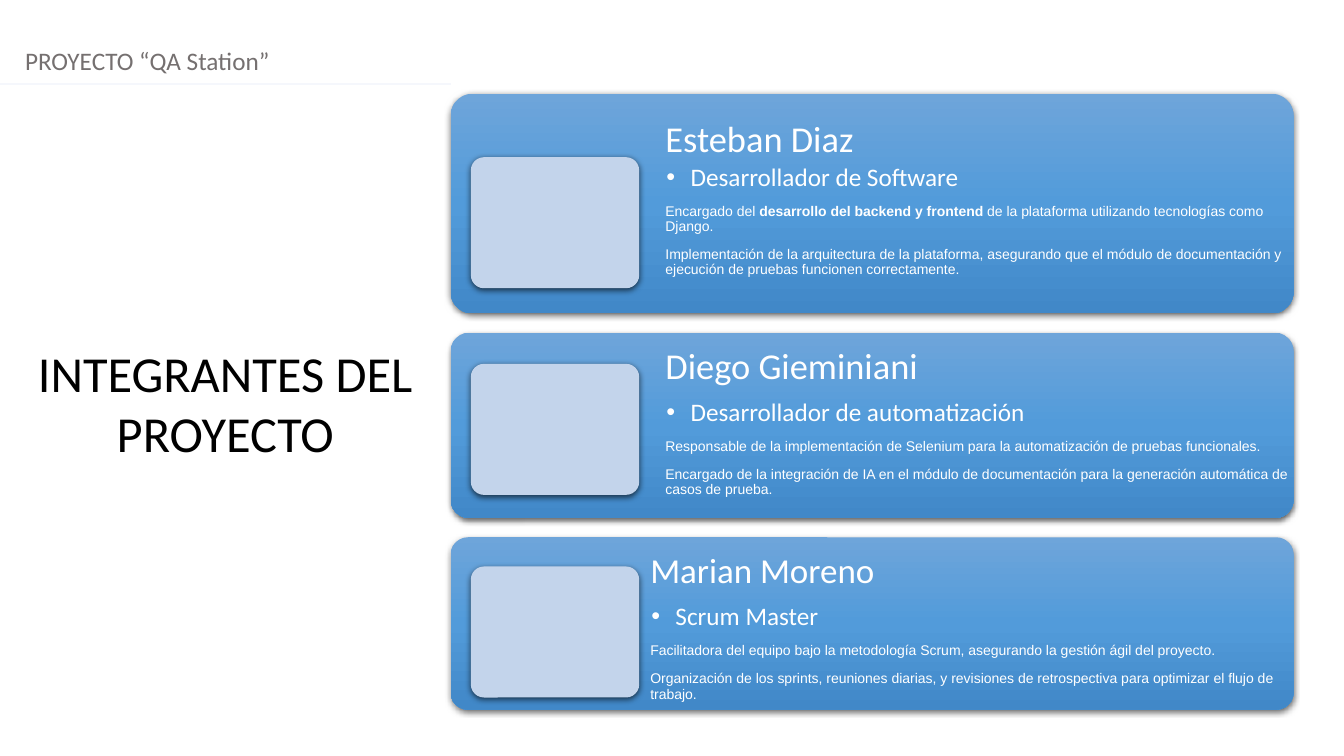
from lxml.etree import SubElement
from pptx import Presentation
from pptx.dml.color import RGBColor
from pptx.enum.shapes import MSO_CONNECTOR, MSO_SHAPE
from pptx.enum.text import MSO_ANCHOR, PP_ALIGN
from pptx.oxml.ns import qn
from pptx.util import Inches, Pt


def color(value):
    return RGBColor.from_string(value)


class SlideBuilder:
    """Holds the slide style and draws each kind of element on the current slide."""

    heading_font = "Calibri"
    body_font = "Arial"
    card_stops = ((0, "6EA5DA"), (50, "529BDA"), (100, "4188C8"))
    photo_fill = "C3D4EB"
    light = "FFFFFF"

    def __init__(self, deck):
        self.slide = deck.slides.add_slide(deck.slide_layouts[6])

    def rounded(self, left, top, width, height):
        shape = self.slide.shapes.add_shape(
            MSO_SHAPE.ROUNDED_RECTANGLE, Inches(left), Inches(top), Inches(width), Inches(height))
        shape.adjustments[0] = 0.1
        shape.line.fill.background()
        shape.shadow.inherit = False
        effects = shape.element.spPr.find(qn("a:effectLst"))
        shadow = SubElement(effects, qn("a:outerShdw"), blurRad=str(Pt(4.5)), dist=str(Pt(1.5)),
                            dir="5400000", algn="ctr", rotWithShape="0")
        tint = SubElement(shadow, qn("a:srgbClr"), val="000000")
        SubElement(tint, qn("a:alpha"), val="63000")
        return shape

    def card(self, top, height):
        shape = self.rounded(4.47, top, 8.36, height)
        shape.fill.gradient()
        shape.fill.gradient_angle = 270
        stops = shape.element.spPr.find(".//" + qn("a:gsLst"))
        stops.clear()
        for position, value in self.card_stops:
            stop = SubElement(stops, qn("a:gs"), pos=str(position * 1000))
            SubElement(stop, qn("a:srgbClr"), val=value)

    def photo(self, top):
        shape = self.rounded(4.67, top, 1.67, 1.3)
        shape.fill.solid()
        shape.fill.fore_color.rgb = color(self.photo_fill)

    def text_frame(self, left, top, width, height, side=0.1, edge=0.05):
        box = self.slide.shapes.add_textbox(Inches(left), Inches(top), Inches(width), Inches(height))
        frame = box.text_frame
        frame.word_wrap = True
        frame.vertical_anchor = MSO_ANCHOR.TOP
        frame.margin_left = frame.margin_right = Inches(side)
        frame.margin_top = frame.margin_bottom = Inches(edge)
        return frame

    def span(self, para, text, size, font, value, bold=False):
        span = para.add_run()
        span.text = text
        span.font.size = Pt(size)
        span.font.name = font
        span.font.bold = bold
        span.font.color.rgb = color(value)

    def heading(self, text, place, size, value, align=PP_ALIGN.LEFT):
        para = self.text_frame(*place).paragraphs[0]
        para.alignment = align
        self.span(para, text, size, self.heading_font, value)

    def bullet(self, para):
        para.level = 1
        properties = para._p.get_or_add_pPr()
        properties.set("marL", str(Inches(0.25)))
        properties.set("indent", str(Inches(-0.24)))
        tint = SubElement(properties, qn("a:buClr"))
        SubElement(tint, qn("a:srgbClr"), val=self.light)
        SubElement(properties, qn("a:buFont"), typeface=self.body_font)
        SubElement(properties, qn("a:buChar"), char="•")

    def profile(self, place, name, name_size, role, role_gap, duties):
        frame = self.text_frame(*place, side=0.11, edge=0.11)
        title = frame.paragraphs[0]
        title.line_spacing = 0.9
        self.span(title, name, name_size, self.heading_font, self.light)
        para = frame.add_paragraph()
        para.line_spacing = 0.9
        para.space_before = Pt(role_gap)
        self.bullet(para)
        self.span(para, role, 18, self.heading_font, self.light)
        for duty in duties:
            para = frame.add_paragraph()
            para.line_spacing = 0.9
            para.space_before = Pt(9.1)
            for index, text in enumerate(duty):
                self.span(para, text, 10, self.body_font, self.light, bold=index % 2 == 1)

    def rule(self, left, right, top, value, width):
        line = self.slide.shapes.add_connector(
            MSO_CONNECTOR.STRAIGHT, Inches(left), Inches(top), Inches(right), Inches(top))
        line.line.color.rgb = color(value)
        line.line.width = Pt(width)
        SubElement(line.element.spPr, qn("a:effectLst"))


MEMBERS = (
    dict(card=(0.93, 2.18), photo=1.56, place=(6.49, 1.09, 6.54, 1.98),
         name="Esteban Diaz", name_size=26, role="Desarrollador de Software", role_gap=3,
         duties=(("Encargado del ", "desarrollo del backend y frontend",
                  " de la plataforma utilizando tecnologías como Django."),
                 ("Implementación de la arquitectura de la plataforma, asegurando que el módulo de "
                  "documentación y ejecución de pruebas funcionen correctamente.",))),
    dict(card=(3.3, 1.84), photo=3.61, place=(6.49, 3.34, 6.54, 1.63),
         name="Diego Gieminiani", name_size=26, role="Desarrollador de automatización", role_gap=9.1,
         duties=(("Responsable de la implementación de Selenium para la automatización de "
                  "pruebas funcionales.",),
                 ("Encargado de la integración de IA en el módulo de documentación para la "
                  "generación automática de casos de prueba.",))),
    dict(card=(5.33, 1.71), photo=5.62, place=(6.34, 5.38, 6.54, 1.21),
         name="Marian Moreno", name_size=25, role="Scrum Master", role_gap=9.1,
         duties=(("Facilitadora del equipo bajo la metodología Scrum, asegurando la gestión ágil "
                  "del proyecto.",),
                 ("Organización de los sprints, reuniones diarias, y revisiones de retrospectiva "
                  "para optimizar el flujo de trabajo.",))),
)


def main():
    deck = Presentation()
    deck.slide_width = Inches(13.33)
    deck.slide_height = Inches(7.5)
    page = SlideBuilder(deck)
    for member in MEMBERS:
        page.card(*member["card"])
        page.profile(member["place"], member["name"], member["name_size"],
                     member["role"], member["role_gap"], member["duties"])
        page.photo(member["photo"])
    page.heading("PROYECTO “QA Station”", (0.15, 0.4, 13.33, 0.4), 18, "757070")
    page.heading("INTEGRANTES DEL PROYECTO", (0.26, 3.34, 3.95, 1.31), 36, "000000", PP_ALIGN.CENTER)
    page.rule(0, 4.47, 0.83, "F5F7FC", 1.25)
    deck.save("out.pptx")


if __name__ == "__main__":
    main()
